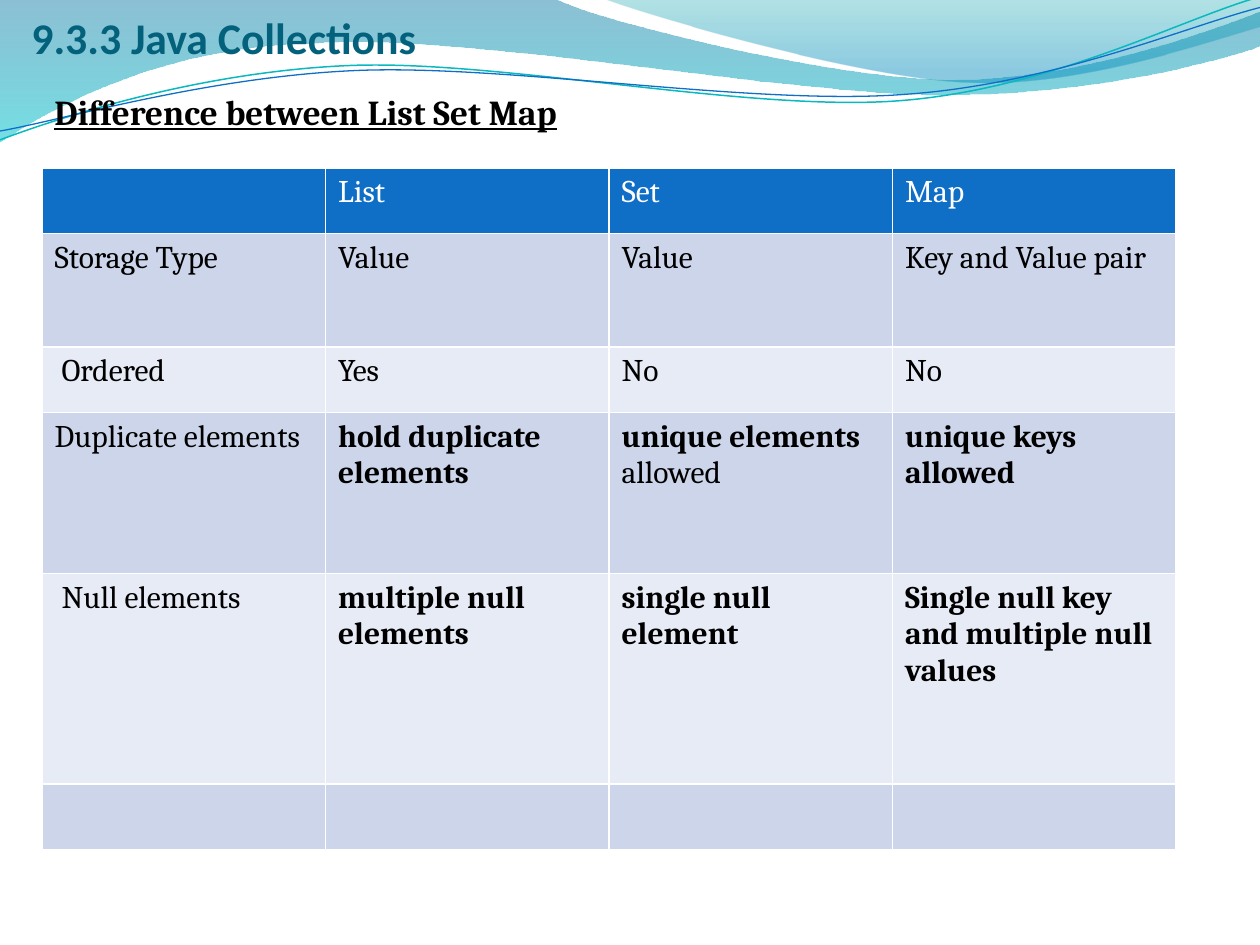
import math
from dataclasses import dataclass
from lxml import etree
from pptx import Presentation
from pptx import util as u
from pptx.dml.color import RGBColor
from pptx.enum import text
from pptx.oxml.ns import qn


@dataclass(frozen=True)
class Theme:
    title_font: str = "Calibri"
    body_font: str = "Cambria"
    title_size: int = 25
    heading_size: int = 20
    cell_size: int = 18
    title: str = "04617B"
    ink: str = "000000"
    white: str = "FFFFFF"
    header: str = "0F6FC6"
    bands: tuple = ("CCD5EA", "E7EBF5")
    wave: tuple = (("0074A1", 0, 45), ("00C6CF", 1, 55))
    crest: tuple = (("00A1A9", 0, 30), ("008BBF", 0.8, 45))
    teal_line: str = "0AB8BF"
    blue_line: str = "0F6FC6"
    tilt: float = -2.7


def add_text(p, words, *, font, size, color, bold=False, underline=False):
    r = p.add_run()
    r.text = words
    r.font.name = font
    r.font.size = u.Pt(size)
    r.font.color.rgb = RGBColor.from_string(color)
    r.font.bold = bold
    r.font.underline = underline


def turn(point, center, degrees):
    a = math.radians(degrees)
    dx, dy = point[0] - center[0], point[1] - center[1]
    return (center[0] + dx * math.cos(a) - dy * math.sin(a),
            center[1] + dx * math.sin(a) + dy * math.cos(a))


class SlideBuilder:
    def __init__(self, s, theme):
        self.s = s
        self.theme = theme

    def curve(self, path, closed, center=(0, 0), tilt=0):
        points = [turn(seg[i:i + 2], center, -tilt)
                  for seg in path for i in range(0, len(seg), 2)]
        points = [(u.Inches(x), u.Inches(y)) for x, y in points]
        fb = self.s.shapes.build_freeform(*points[0], scale=1.0)
        fb.add_line_segments(points[1:], close=closed)
        sp = fb.convert_to_shape()
        sp.rotation = tilt
        sp.shadow.inherit = False
        lines = iter(list(sp._element.iter(qn("a:lnTo"))))
        for seg in path[1:]:
            first = next(lines)
            if len(seg) == 6:
                first.tag_name = None
                bezier = etree.Element(qn("a:cubicBezTo"))
                first.addprevious(bezier)
                for line in (first, next(lines), next(lines)):
                    bezier.append(line[0])
                    line.getparent().remove(line)
        return sp

    def band(self, path, stops):
        sp = self.curve(path, True)
        sp.line.fill.background()
        sp.fill.gradient()
        sp.fill.gradient_angle = 270
        for stop, (color, position, _) in zip(sp.fill.gradient_stops, stops):
            stop.color.rgb = RGBColor.from_string(color)
            stop.position = position
        for clr, (_, _, opacity) in zip(sp._element.spPr.iter(qn("a:srgbClr")), stops):
            etree.SubElement(clr, qn("a:alpha")).set("val", str(opacity * 1000))

    def stroke(self, path, color, width, center):
        sp = self.curve(path, False, center, self.theme.tilt)
        sp.fill.background()
        sp.line.color.rgb = RGBColor.from_string(color)
        sp.line.width = u.Pt(width)

    def textbox(self, words, x, y, w, h, *, insets=(0.1, 0.05, 0.1, 0.05),
                anchor=text.MSO_ANCHOR.TOP, **style):
        sp = self.s.shapes.add_textbox(*map(u.Inches, (x, y, w, h)))
        tf = sp.text_frame
        tf.word_wrap = True
        tf.vertical_anchor = anchor
        tf.margin_left, tf.margin_top, tf.margin_right, tf.margin_bottom = map(u.Inches, insets)
        add_text(tf.paragraphs[0], words, **style)

    def borders(self, cell):
        tcPr = cell._tc.get_or_add_tcPr()
        for i, side in enumerate(("lnL", "lnR", "lnT", "lnB")):
            ln = etree.Element(qn(f"a:{side}"), w=str(u.Pt(1)))
            fill = etree.SubElement(ln, qn("a:solidFill"))
            etree.SubElement(fill, qn("a:srgbClr")).set("val", self.theme.white)
            tcPr.insert(i, ln)

    def table(self, rows, x, y, col_width, heights):
        th = self.theme
        n = len(rows[0])
        tbl = self.s.shapes.add_table(
            len(rows), n, u.Inches(x), u.Inches(y),
            u.Inches(col_width * n), u.Inches(sum(heights))).table
        tbl.first_row = tbl.horz_banding = False
        for col in tbl.columns:
            col.width = u.Inches(col_width)
        for i, (row, height) in enumerate(zip(rows, heights)):
            tbl.rows[i].height = u.Inches(height)
            for j, runs in enumerate(row):
                cell = tbl.cell(i, j)
                cell.fill.solid()
                fill = th.bands[(i - 1) % 2] if i else th.header
                cell.fill.fore_color.rgb = RGBColor.from_string(fill)
                self.borders(cell)
                for words, bold in runs:
                    add_text(cell.text_frame.paragraphs[0], words, font=th.body_font,
                             size=th.cell_size, bold=bold,
                             color=th.ink if i else th.white)


def plain(*words):
    return [[(w, False)] if w else [] for w in words]


def bold(*words):
    return [[(w, True)] for w in words]


def main():
    prs = Presentation()
    prs.slide_width, prs.slide_height = u.Inches(10), u.Inches(7.5)
    th = Theme()
    b = SlideBuilder(prs.slides.add_slide(prs.slide_layouts[6]), th)

    b.band([(0, 0), (4.4, -0.01), (4.76, 0.17, 6.64, 0.63, 7.58, 0.63),
            (8.53, 0.63, 9.58, 0.26, 10, 0.09), (10.01, 0.36),
            (9.83, 0.44, 8.7, 0.76, 7.46, 0.75), (6.22, 0.75, 3.82, 0.28, 2.57, 0.34),
            (1.29, 0.36, 0.46, 0.83, -0.01, 1.13), (0, 0)], th.wave)
    b.band([(4.79, -0.01), (5.09, 0.11, 6.82, 0.62, 7.69, 0.65),
            (8.56, 0.69, 9.61, 0.32, 10, 0.21), (10, 0), (4.79, -0.01)], th.crest)
    b.stroke([(0, 1.11), (0.48, 0.93, 1.58, 0.57, 2.77, 0.52),
              (3.95, 0.47, 5.93, 0.89, 7.13, 0.8),
              (8.33, 0.71, 9.38, 0.15, 9.98, -0.02)], th.teal_line, 0.85, (4.99, 0.58))
    b.stroke([(0, 1.04), (0.47, 0.96, 1.64, 0.61, 2.83, 0.56),
              (4.03, 0.51, 5.97, 0.84, 7.17, 0.75),
              (8.36, 0.67, 9.41, 0.21, 10, 0.06)], th.blue_line, 0.75, (5, 0.59))

    b.textbox("9.3.3 Java Collections", 0.25, 0, 9.17, 0.5, insets=(0, 0.05, 0, 0),
              anchor=text.MSO_ANCHOR.BOTTOM, font=th.title_font, size=th.title_size,
              color=th.title, bold=True)
    rows = [
        plain("", "List", "Set", "Map"),
        plain("Storage Type", "Value", "Value", "Key and Value pair"),
        plain(" Ordered ", "Yes", "No", "No"),
        plain("Duplicate elements") + bold("hold duplicate elements")
        + [[("unique elements", True), (" allowed", False)]] + bold("unique keys allowed"),
        plain(" Null elements") + bold("multiple null elements", "single null element",
                                       "Single null key and multiple null values"),
        plain("", "", "", ""),
    ]
    b.table(rows, 1 / 3, 4 / 3, 2.25, (0.52, 0.9, 0.52, 1.28, 1.67, 0.52))
    b.textbox("Difference between List Set Map", 1 / 3, 2 / 3, 5.67, 0.44, font=th.body_font,
              size=th.heading_size, color=th.ink, bold=True, underline=True)
    prs.save("out.pptx")


if __name__ == "__main__":
    main()
